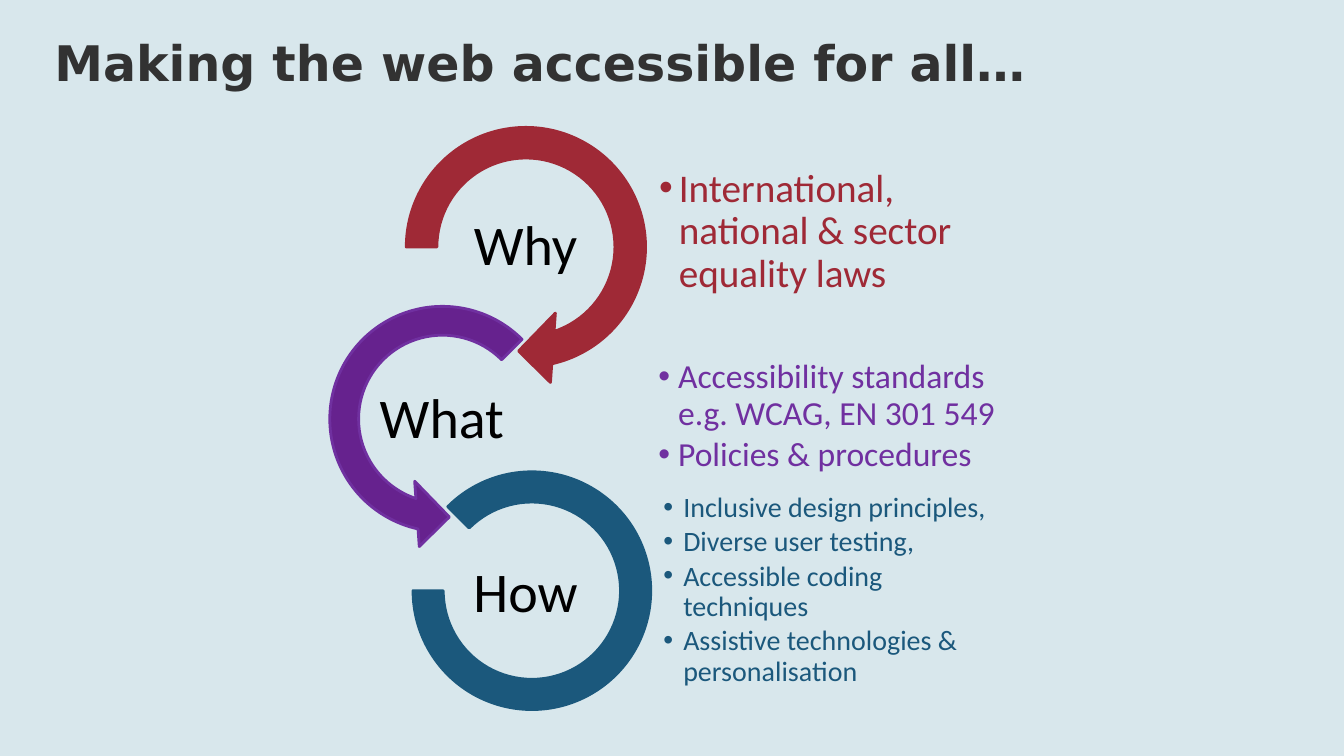
from pptx import Presentation
from pptx.dml.color import RGBColor
from pptx.enum.shapes import MSO_SHAPE
from pptx.enum.text import MSO_ANCHOR, MSO_AUTO_SIZE, PP_ALIGN
from pptx.oxml.ns import qn
from pptx.util import Cm, Pt
from lxml.etree import SubElement


def color(hex_string):
    return RGBColor.from_string(hex_string)


def write_text(shape, lines, margins, paragraph_format, font_format, font_color, bullet_indent=0):
    frame = shape.text_frame
    frame.word_wrap = True
    frame.auto_size = MSO_AUTO_SIZE.NONE
    frame.vertical_anchor = MSO_ANCHOR.MIDDLE
    for side, margin in zip(("left", "top", "right", "bottom"), margins):
        setattr(frame, f"margin_{side}", Cm(margin))
    for index, line in enumerate(lines):
        paragraph = frame.add_paragraph() if index else frame.paragraphs[0]
        run = paragraph.add_run()
        run.text = line
        for name, value in paragraph_format.items():
            setattr(paragraph, name, value)
        for name, value in font_format.items():
            setattr(run.font, name, value)
        run.font.color.rgb = color(font_color)
        if bullet_indent:
            properties = paragraph._p.get_or_add_pPr()
            properties.set("marL", str(Cm(bullet_indent)))
            properties.set("indent", str(-Cm(bullet_indent)))
            SubElement(properties, qn("a:buFont")).set("typeface", "Arial")
            SubElement(properties, qn("a:buChar")).set("char", "•")


presentation = Presentation()
presentation.slide_width = Cm(33.87)
presentation.slide_height = Cm(19.05)
slide = presentation.slides.add_slide(presentation.slide_layouts[5])
slide.background.fill.solid()
slide.background.fill.fore_color.rgb = color("D8E7EC")

title = slide.shapes.title
title.left, title.top, title.width, title.height = Cm(1.37), Cm(0.66), Cm(30.66), Cm(1.8)
write_text(title, ["Making the web accessible for all…"], (0, 0.13, 0.25, 0.13),
           {"alignment": PP_ALIGN.LEFT},
           {"size": Pt(35), "name": "DejaVu Sans", "bold": True}, "323232")

steps = [
    {"label": "Why", "label_left": 11.15, "fill": "9F2936", "accent": "9F2936",
     "ring": MSO_SHAPE.CIRCULAR_ARROW, "ring_box": (9.75, 2.72, 7.01),
     "adjustments": (0.11, 11.423, 45, 108, 0.125),
     "details_box": (16.56, 4.34, 8.86), "size": 28, "margin": 0.05,
     "details": ["International, national & sector equality laws"]},
    {"label": "What", "label_left": 9.04, "fill": "66228E", "accent": "7030A0",
     "ring": MSO_SHAPE.LEFT_CIRCULAR_ARROW, "ring_box": (7.85, 7.26, 6.6),
     "adjustments": (0.11, 11.423, 63, 189, 0.125),
     "details_box": (16.54, 8.99, 8.64), "size": 24, "margin": 0.05,
     "details": ["Accessibility standards e.g. WCAG, EN 301 549",
                 "Policies & procedures"]},
    {"label": "How", "label_left": 11.15, "fill": "1B587C", "accent": "1B587C",
     "ring": MSO_SHAPE.BLOCK_ARC, "ring_box": (10.41, 11.89, 5.99),
     "adjustments": (135, 108, 0.127),
     "details_box": (16.69, 13.36, 8.74), "size": 20, "margin": 0.03,
     "details": ["Inclusive design principles,", "Diverse user testing,",
                 "Accessible coding techniques",
                 "Assistive technologies & personalisation"]},
]

for row, step in enumerate(steps):
    left, top, diameter = step["ring_box"]
    ring = slide.shapes.add_shape(step["ring"], Cm(left), Cm(top), Cm(diameter), Cm(diameter))
    ring.shadow.inherit = False
    for index, value in enumerate(step["adjustments"]):
        ring.adjustments[index] = value
    ring.fill.solid()
    ring.fill.fore_color.rgb = color(step["fill"])
    ring.line.color.rgb = color(step["accent"])
    ring.line.width = Pt(2)

    left, top, width = step["details_box"]
    details = slide.shapes.add_textbox(Cm(left), Cm(top), Cm(width), Cm(3.02))
    write_text(details, step["details"], [step["margin"]] * 4,
               {"level": 1, "line_spacing": 0.9, "space_after": Pt(step["size"] * 0.15)},
               {"size": Pt(step["size"]), "name": "Calibri"}, step["accent"], 0.5)

    label = slide.shapes.add_textbox(Cm(step["label_left"]), Cm(5.18 + 4.37 * row),
                                     Cm(4.19), Cm(2.11))
    write_text(label, [step["label"]], [0.08] * 4,
               {"alignment": PP_ALIGN.CENTER, "line_spacing": 0.9},
               {"size": Pt(40), "name": "Calibri"}, "000000")

presentation.save("out.pptx")
